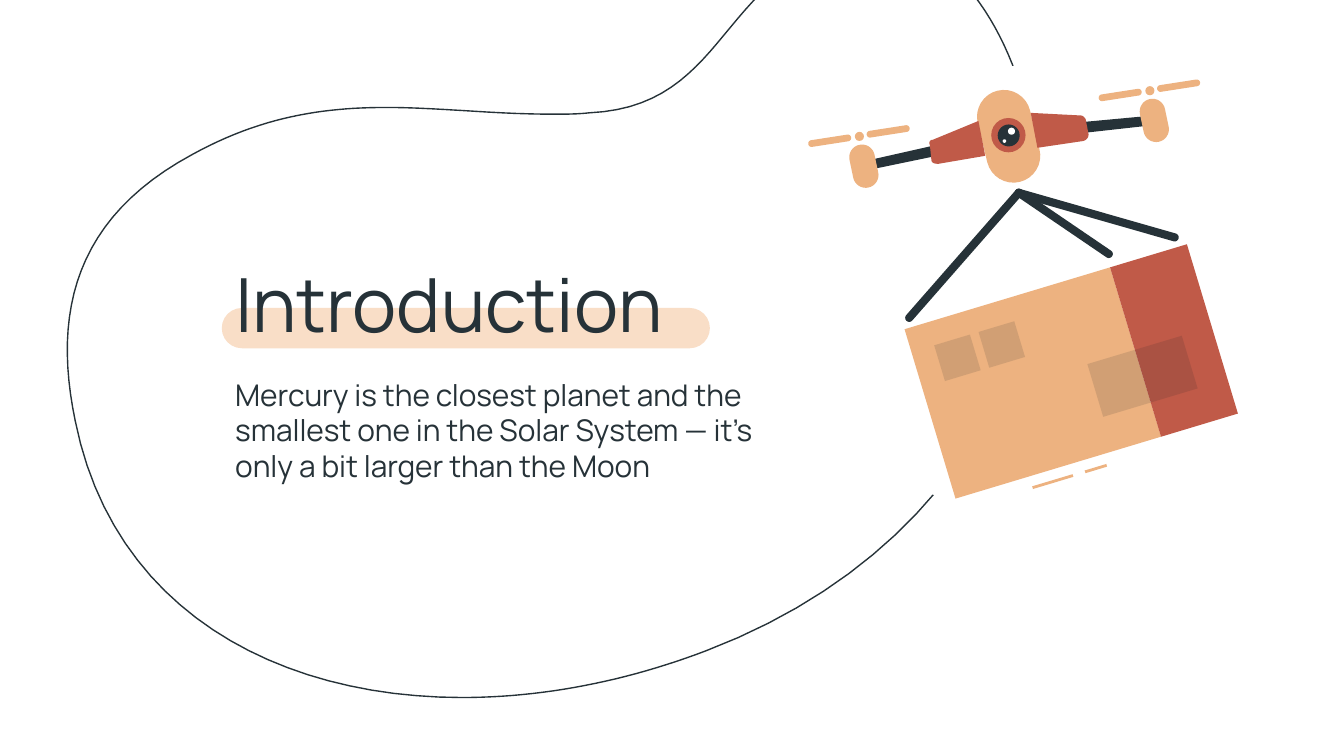
from math import atan2, cos, hypot, pi, radians, sin
from lxml.etree import SubElement
from pptx import Presentation
from pptx.dml.color import RGBColor
from pptx.enum.shapes import MSO_SHAPE as Kind
from pptx.enum.text import MSO_ANCHOR as Anchor, MSO_AUTO_SIZE as Fit, PP_ALIGN as Align
from pptx.oxml.ns import qn
from pptx.util import Pt

THEME = dict(
    font="Manrope", head=40, body=16, line=0.75,
    ink="263238", sand="EDB280", rust="C05A48", pale="F9DEC7",
    white="FFFFFF", shade="1A2327",
)
TITLE = "Introduction"
BODY = ("Mercury is the closest planet and the smallest one in the Solar System"
        " — it’s only a bit larger than the Moon")

# Outlines: a start point, then lines (2 numbers) or curves (6 numbers)
LOOP = [
    (468.7, -31.7), (457.9, -31.7, 445.7, -28.8, 432.7, -22.3),
    (384.5, 2.9, 380.9, 57.6, 315.4, 60.5), (308.9, 61.2, 302.4, 61.2, 295.9, 61.2),
    (264.2, 61.2, 235.4, 57.6, 206.6, 57.6), (172.8, 57.6, 139.7, 62.6, 103, 82.8),
    (40.3, 116.6, 28.1, 167, 40.3, 225.4), (60.5, 326.2, 147.6, 373.7, 247.7, 373.7),
    (290.9, 373.7, 335.5, 365, 378.7, 348.5), (516.2, 295.9, 579.6, 174.2, 548.6, 53.3),
    (538.6, 16.6, 512.6, -31.7, 468.7, -31.7),
]
ARMS = [
    [(552.2, 60.5), (555.8, 79.2), (580.3, 75.6), (582.5, 74.9, 583.2, 73.4, 583.2, 72),
     (581.8, 64.8), (581.8, 63.4, 580.3, 61.9, 578.9, 61.9)],
    [(524.2, 64.8), (499.7, 74.9), (498.2, 74.9, 497.5, 76.3, 498.2, 77.8),
     (499, 85.7), (499, 87.1, 500.4, 87.8, 502.6, 87.8), (527.8, 83.5)],
]
BOOMS = [
    [(617.8, 61.9), (578.9, 65.5), (579.6, 71.3), (618.5, 67)],
    [(501.1, 77.8), (463, 86.4), (463.7, 91.4), (501.8, 83.5)],
]
HUBS = [(616, 48.6), (460.4, 73.1)]
BLADES = [(5.7, -1.2), (-25.6, 3.8)]  # start of each blade, from its hub
EYE = [  # centre, radius, colour
    (540.2, 72.4, 9.2, "rust"), (540.4, 72.6, 5.9, "ink"),
    (541.9, 70.3, 1.9, "white"), (538.1, 75.6, 0.95, "white"),
]
HOOK = (545.8, 103.3)
ENDS = [(629.3, 127.2), (594, 136.1), (487.1, 170.3)]

# The parcel is flat in its own tilted frame: left, top, width, height, colour
CORNER, TILT = (484.6, 176.4), radians(16.75)
PARCEL = [
    (41.2, 100.3, 22.6, 1.5, "sand"), (70.6, 100.3, 12.1, 1.5, "sand"),
    (0, 0, 115, 94.75, "sand"), (115, 0, 43, 94.75, "rust"),
    (88.4, 46.1, 52.8, 29.5, "shade"),
    (12.7, 12.8, 20, 20, "shade"), (37.5, 12.8, 20, 20, "shade"),
]

deck = Presentation()
deck.slide_width, deck.slide_height = Pt(720), Pt(405)
slide = deck.slides.add_slide(deck.slide_layouts[0])
shapes = slide.shapes


def tint(name):
    return RGBColor.from_string(THEME[name])


def paint(shape, name, alpha=None):
    shape.shadow.inherit = False
    shape.line.fill.background()
    shape.fill.solid()
    shape.fill.fore_color.rgb = tint(name)
    if alpha:
        node = shape.fill._xPr.find(qn("a:solidFill"))[0]
        SubElement(node, qn("a:alpha"), val=str(alpha * 1000))
    return shape


def trace(path, steps=24):
    """Turn an outline with cubic curves into plain points."""
    pts = [path[0]]
    for seg in path[1:]:
        if len(seg) == 2:
            pts.append(seg)
            continue
        x, y = pts[-1]
        a, b, c, d, e, f = seg
        for i in range(1, steps + 1):
            t = i / steps
            k = (1 - t) ** 3, 3 * t * (1 - t) ** 2, 3 * t * t * (1 - t), t ** 3
            pts.append((k[0] * x + k[1] * a + k[2] * c + k[3] * e,
                        k[0] * y + k[1] * b + k[2] * d + k[3] * f))
    return pts


def outline(pts):
    pts = [(Pt(x), Pt(y)) for x, y in pts]
    pen = shapes.build_freeform(*pts[0])
    pen.add_line_segments(pts[1:], close=True)
    return pen.convert_to_shape()


def pill(start, end, r, name):
    """Draw a bar with round ends between two points."""
    turn = atan2(end[1] - start[1], end[0] - start[0])
    pts = []
    for (x, y), base in ((end, turn - pi / 2), (start, turn + pi / 2)):
        for i in range(17):
            a = base + pi * i / 16
            pts.append((x + r * cos(a), y + r * sin(a)))
    paint(outline(pts), name)


def disc(x, y, r, name):
    box = [Pt(v) for v in (x - r, y - r, 2 * r, 2 * r)]
    paint(shapes.add_shape(Kind.OVAL, *box), name)


def shift(point, dx, dy):
    return point[0] + dx, point[1] + dy


def write(shape, box, text, size, after=0):
    shape.left, shape.top, shape.width, shape.height = [Pt(v) for v in box]
    frame = shape.text_frame
    frame.word_wrap, frame.auto_size = True, Fit.NONE
    frame.vertical_anchor = Anchor.TOP
    frame.margin_left = frame.margin_right = Pt(7.2)
    frame.margin_top = frame.margin_bottom = Pt(7.2)
    para = frame.paragraphs[0]
    para.alignment = Align.LEFT
    para.space_before, para.space_after = Pt(0), Pt(after)
    run = para.add_run()
    run.text = text
    run.font.name, run.font.size = THEME["font"], Pt(THEME[size])
    run.font.color.rgb = tint("ink")
    shapes._spTree.append(shape._element)  # in front of what is drawn so far


def rotor(hub):
    motor = shift(hub, 1.4, 11.2)
    pill(motor, shift(motor, 2, 9.5), 6.84, "sand")
    disc(*hub, 2.45, "sand")
    for blade in BLADES:
        start = shift(hub, *blade)
        pill(start, shift(start, 19.4, -3), 1.8, "sand")


def panel(x, y, w, h, name):
    pts = []
    for u, v in ((x, y), (x + w, y), (x + w, y + h), (x, y + h)):
        pts.append(shift(CORNER, u * cos(TILT) + v * sin(TILT),
                         v * cos(TILT) - u * sin(TILT)))
    paint(outline(pts), name, 13 if name == "shade" else None)


loop = outline(trace(LOOP))
loop.shadow.inherit = False
loop.fill.background()
loop.line.color.rgb = tint("ink")
loop.line.width = Pt(THEME["line"])

mark = shapes.add_shape(Kind.ROUNDED_RECTANGLE, Pt(118.8), Pt(165), Pt(261.5), Pt(21.6))
mark.adjustments[0] = 0.5
paint(mark, "pale")
write(shapes.title, (118.8, 131, 304.5, 56.9), TITLE, "head")
write(slide.placeholders[1], (118.8, 194.4, 304.5, 80.6), BODY, "body", 16)

disc(561.6, 157.7, 123.8, "white")
for part in PARCEL:
    panel(*part)
pill((537.8, 62.6), (542.9, 83.5), 14.4, "sand")
for spot in EYE:
    disc(*spot)
for boom, hub, arm in zip(BOOMS, HUBS, ARMS):
    paint(outline(boom), "ink")
    rotor(hub)
    paint(outline(trace(arm)), "rust")
for end in ENDS:
    pill(HOOK, end, 2.16, "ink")

deck.save("out.pptx")
